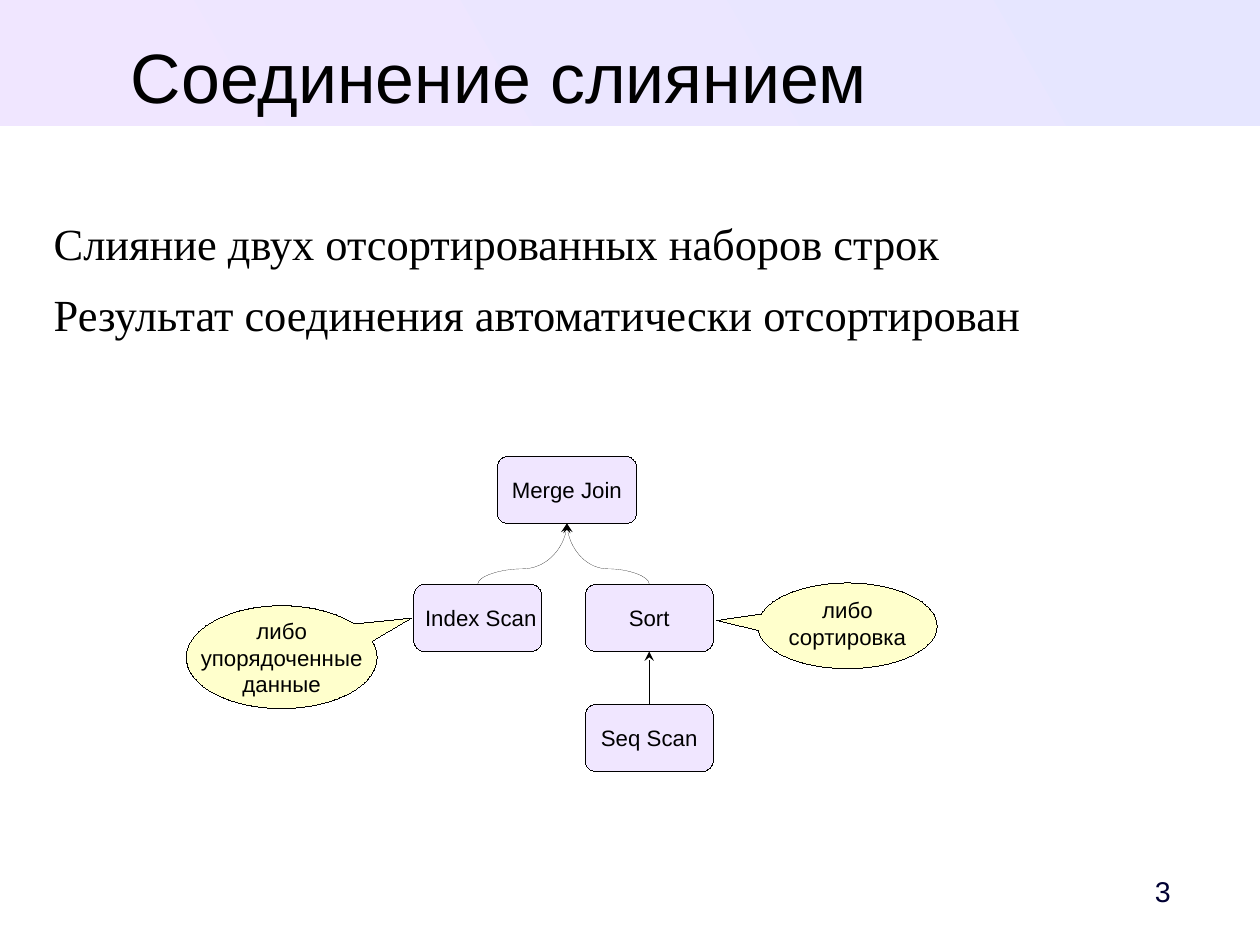
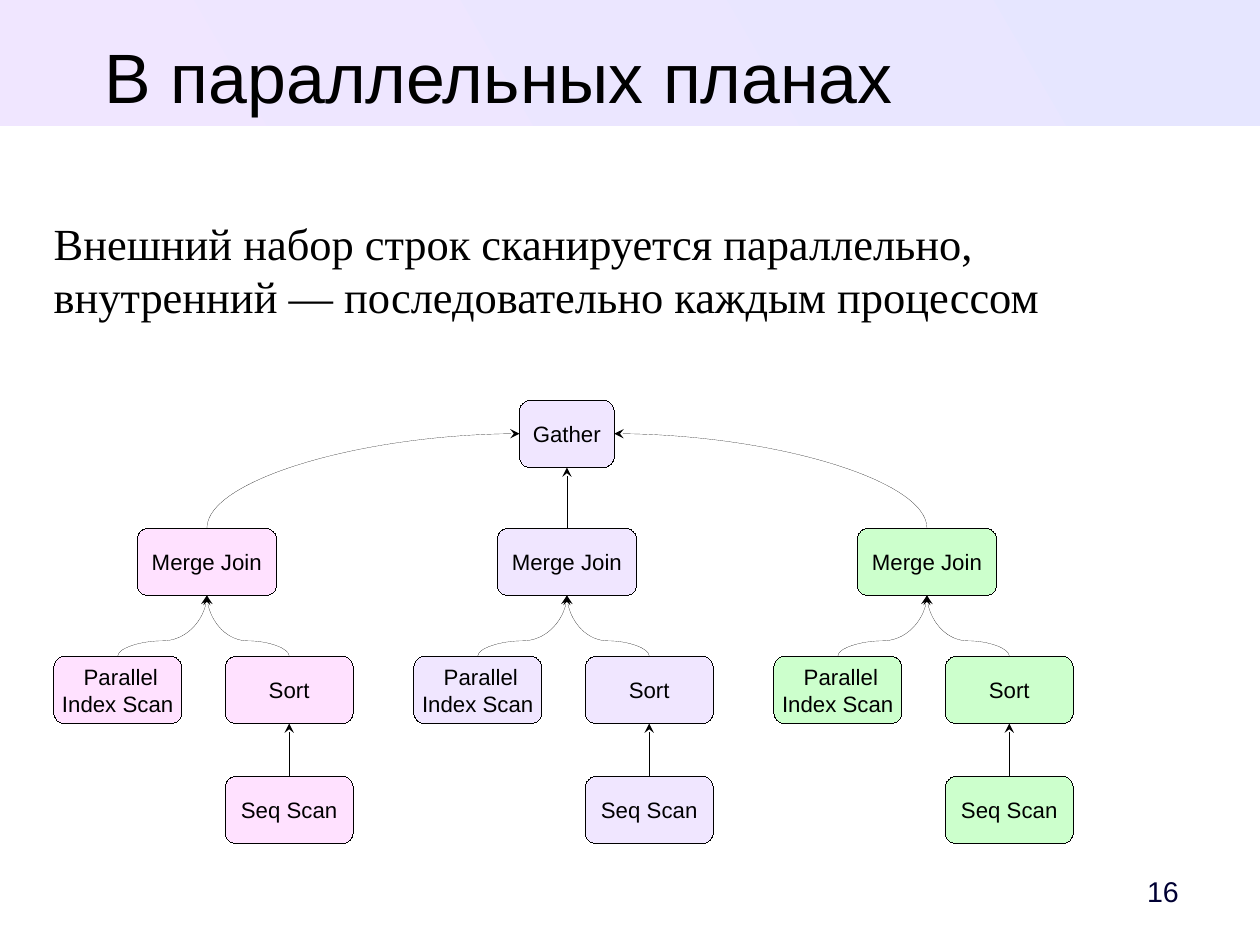
from pptx import Presentation
from pptx.dml.color import RGBColor
from pptx.enum import shapes as sh, text as tx
from pptx.oxml import parse_xml
from pptx.oxml.ns import nsdecls
from pptx.util import Cm, Inches, Pt

HEX = {"ink": "000000", "num": "000033", "blue": "E6E6FF", "lilac": "F0E6FF",
       "pink": "FFE1FF", "green": "CCFFCC", "note": "FFFFCC"}
RGB = {name: RGBColor.from_string(code) for name, code in HEX.items()}
SHAPE, LINE = sh.MSO_SHAPE, sh.MSO_CONNECTOR
ALIGN, ANCHOR = tx.PP_ALIGN, tx.MSO_ANCHOR
TOP, LEFT, BOTTOM, RIGHT = range(4)
HIGH = 0.59

SLIDES = [
    {"title": "Соединение слиянием", "num": "3", "top": 3.99,
     "body": ["Слияние двух отсортированных наборов строк",
              "Результат соединения автоматически отсортирован"],
     "scan": [" Index Scan"], "trees": [(4.96, "lilac")],
     "notes": [(6.63, 5.1, 1.57, 0.75, (-0.728, -0.062), 0.1,
                ["либо", "сортировка"]),
               (1.63, 5.3, 1.67, 0.9, (0.678, -0.379), 0.05,
                ["либо", "упорядоченные", "данные"])]},
    {"title": "В параллельных планах", "num": "16", "top": 4.62,
     "body": ["Внешний набор строк сканируется параллельно,\v"
              "внутренний — последовательно каждым процессом"],
     "scan": [" Parallel", "Index Scan"], "gather": 3.5,
     "trees": [(1.81, "pink"), (4.96, "lilac"), (8.11, "green")],
     "notes": []},
]


def put(box, lines, size, font="Arial", ink="ink", align=ALIGN.CENTER,
        anchor=ANCHOR.MIDDLE, pad=(0.1, 0.05, 0.1, 0.05), wrap=False, after=0):
    """Fill a shape with one paragraph per line; \\v marks a line break."""
    frame = box.text_frame
    frame.word_wrap, frame.vertical_anchor = wrap, anchor
    frame.auto_size = tx.MSO_AUTO_SIZE.NONE
    (frame.margin_left, frame.margin_top,
     frame.margin_right, frame.margin_bottom) = map(Inches, pad)
    for i, line in enumerate(lines):
        para = frame.add_paragraph() if i else frame.paragraphs[0]
        para.alignment, para.space_after = align, Pt(after)
        for j, part in enumerate(line.split("\v")):
            if j:
                para.add_line_break()
            run = para.add_run()
            run.text = part
            run.font.size, run.font.name = Pt(size), font
            run.font.color.rgb = RGB[ink]


def link(low, high, site=BOTTOM, bend=None):
    """Arrow from the top of one node to a site of a higher one."""
    kind = LINE.CURVE if bend else LINE.STRAIGHT
    arrow = slide.shapes.add_connector(kind, 0, 0, 0, 0)
    arrow.begin_connect(low, TOP)
    arrow.end_connect(high, site)
    arrow.line.color.rgb, arrow.line.width = RGB["ink"], 0
    arrow._element.remove(arrow._element.find("{*}style"))
    props = arrow._element.spPr
    props.find(".//{*}ln").append(
        parse_xml(f'<a:tailEnd {nsdecls("a")} type="stealth"/>'))
    props.append(parse_xml(f'<a:effectLst {nsdecls("a")}/>'))
    if not bend:
        return
    x1, y1, x2, y2 = arrow.begin_x, arrow.begin_y, arrow.end_x, arrow.end_y
    wide, tall = abs(x2 - x1), abs(y2 - y1)
    # The box is turned a quarter, so that the curve leaves upwards.
    arrow.left, arrow.top = (x1 + x2 - tall) // 2, (y1 + y2 - wide) // 2
    arrow.width, arrow.height = tall, wide
    right = x2 > x1
    props.xfrm.rot = 90 if right else 270
    props.xfrm.flipH, props.xfrm.flipV = right, True
    props.prstGeom.set("prst", bend)
    props.prstGeom.rewrite_guides(
        [("adj1", 25000)] if bend == "curvedConnector3" else [])


deck = Presentation()
deck.slide_width, deck.slide_height = Cm(28), Cm(21)
layout = deck.slide_layouts[5]

for page in SLIDES:
    slide = deck.slides.add_slide(layout)

    def form(kind, x, y, w, h, fill):
        shape = slide.shapes.add_shape(kind, *map(Inches, (x, y, w, h)))
        shape.shadow.inherit = False
        shape.fill.solid()
        shape.fill.fore_color.rgb = RGB[fill]
        shape.line.color.rgb, shape.line.width = RGB["ink"], 0
        shape._element.remove(shape._element.find("{*}style"))
        return shape

    def node(mid, y, w, lines, fill):
        """Rounded box centred on mid."""
        shape = form(SHAPE.ROUNDED_RECTANGLE, mid - w / 2, y, w, HIGH, fill)
        put(shape, lines, 14)
        return shape

    if page is SLIDES[0]:
        # The band moves to the layout, behind the titles of all slides.
        band = form(SHAPE.RECTANGLE, 0, 0, 11.02, 1.1, "blue")
        band.width = deck.slide_width
        band.line.fill.background()
        band.fill.gradient()
        band.fill.gradient_angle = 210
        for stop, name in zip(band.fill.gradient_stops, ("blue", "lilac")):
            stop.color.rgb = RGB[name]
        layout.shapes._spTree.insert(2, band._element)

    title = slide.shapes.title
    title.left, title.top = Inches(0.47), Inches(0.29)
    title.width, title.height = Inches(7.8), Inches(0.69)
    put(title, [page["title"]], 44, anchor=ANCHOR.TOP, pad=[0] * 4, wrap=True)

    body = slide.shapes.add_textbox(*map(Inches, (0.47, 1.89, 10.08, 5.71)))
    put(body, page["body"], 28, "Times New Roman", align=ALIGN.LEFT,
        anchor=ANCHOR.TOP, pad=[0] * 4, wrap=True, after=11.3)

    foot = slide.shapes.add_textbox(*map(Inches, (9.69, 7.56, 0.87, 0.47)))
    put(foot, [page["num"]], 18, ink="num", pad=(0.1, 0.05, 0, 0.05), wrap=True)

    top = page["top"]
    if "gather" in page:
        gather = node(4.96, page["gather"], 0.83, ["Gather"], "lilac")
    for mid, fill in page["trees"]:
        join = node(mid, top, 1.22, ["Merge Join"], fill)
        scan = node(mid - 0.78, top + 1.12, 1.12, page["scan"], fill)
        sort = node(mid + 0.72, top + 1.12, 1.12, ["Sort"], fill)
        seq = node(mid + 0.72, top + 2.17, 1.12, ["Seq Scan"], fill)
        link(seq, sort)
        link(scan, join, bend="curvedConnector3")
        link(sort, join, bend="curvedConnector3")
        if "gather" in page:
            if mid == 4.96:
                link(join, gather)
            else:
                link(join, gather, LEFT if mid < 4.96 else RIGHT,
                     "curvedConnector2")

    for x, y, w, h, tip, base, lines in page["notes"]:
        note = form(SHAPE.OVAL_CALLOUT, x, y, w, h, "note")
        note.adjustments[0], note.adjustments[1] = tip
        put(note, lines, 14, pad=(0.1, 0.05, 0.1, base))

deck.save("out.pptx")
